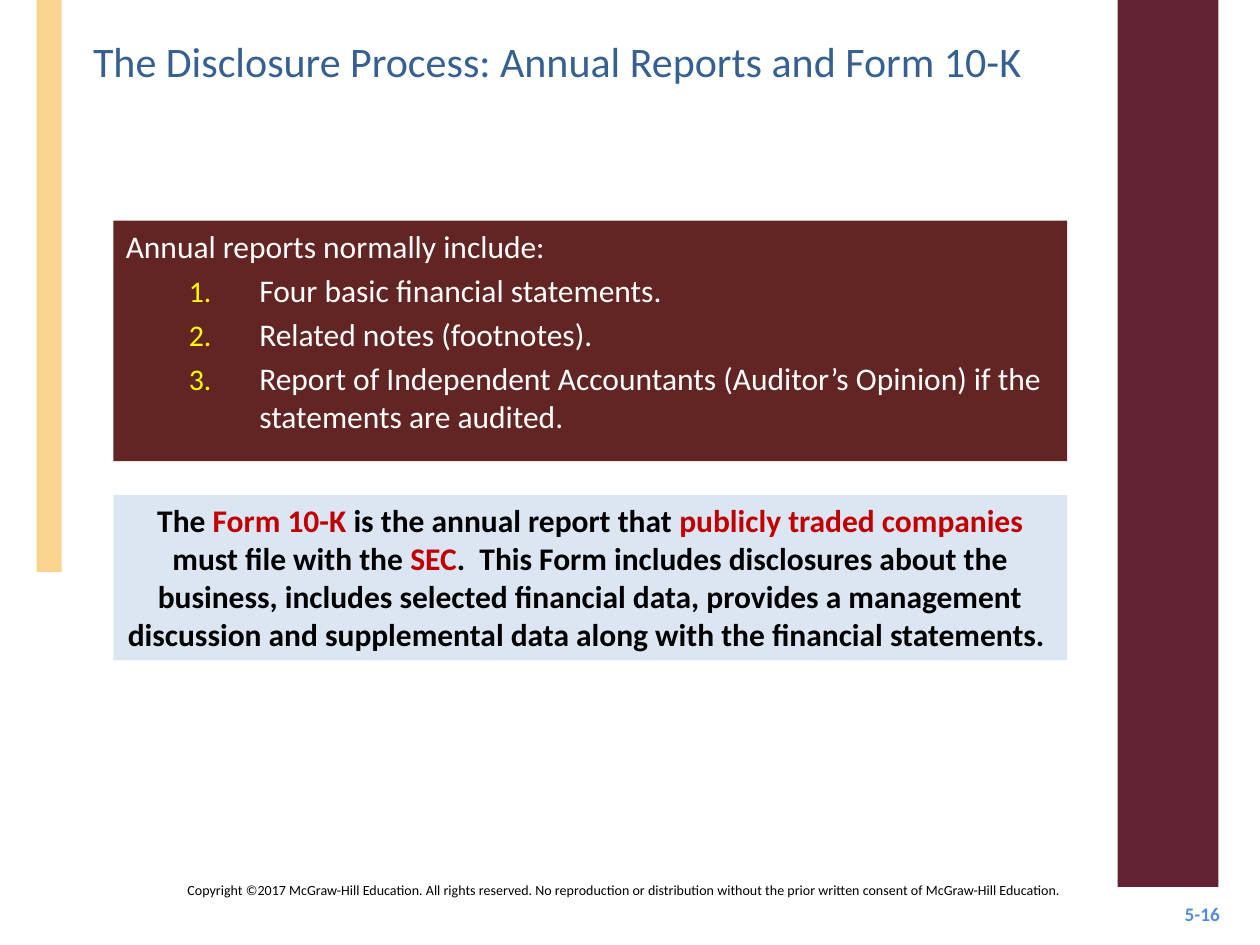
from lxml import etree
from pptx import Presentation
from pptx import util as u
from pptx.dml.color import RGBColor
from pptx.enum import shapes, text
from pptx.oxml.ns import qn

COLORS = {
    "sand": "FAD38F", "wine": "622233", "brick": "632523", "ice": "DCE6F2",
    "title": "376092", "number": "558ED5", "white": "FFFFFF",
    "black": "000000", "red": "C00000", "yellow": "FFFF00",
}

deck = Presentation()
deck.slide_width, deck.slide_height = u.Inches(10), u.Inches(7.5)
page = deck.slides.add_slide(deck.slide_layouts[6])
COLUMN = deck.slide_width / 100
ROW = deck.slide_height / 75


def add_box(column, row, columns, rows, fill=None):
    place = [round(n) for n in (column * COLUMN, row * ROW, columns * COLUMN, rows * ROW)]
    if fill:
        box = page.shapes.add_shape(shapes.MSO_SHAPE.RECTANGLE, *place)
        box.shadow.inherit = False
        box.fill.solid()
        box.fill.fore_color.rgb = RGBColor.from_string(COLORS[fill])
        box.line.fill.background()
    else:
        box = page.shapes.add_textbox(*place)
    box.text_frame.word_wrap = True
    box.text_frame.vertical_anchor = text.MSO_ANCHOR.TOP
    return box


def add_runs(para, runs, size, align=text.PP_ALIGN.LEFT, bold=False):
    para.alignment = align
    for words, color in runs:
        span = para.add_run()
        span.text = words
        span.font.name = "Calibri"
        span.font.size = u.Pt(size)
        span.font.bold = bold
        span.font.color.rgb = RGBColor.from_string(COLORS[color])


number = add_box(90.3, 70.5, 7.5, 4)
number.text_frame.vertical_anchor = text.MSO_ANCHOR.MIDDLE
add_runs(number.text_frame.paragraphs[0], [("5-16", "number")], 11,
         text.PP_ALIGN.RIGHT, True)

add_box(2.9, 0, 2, 45.4, "sand")
add_box(88.7, 0, 8, 70.4, "wine")

title = add_box(6.4, 2.3, 83.7, 7)
add_runs(title.text_frame.paragraphs[0],
         [("The Disclosure Process: Annual Reports and Form 10-K", "title")], 24)

reports = add_box(9, 17.5, 75.7, 19.1, "brick").text_frame
add_runs(reports.paragraphs[0], [("Annual reports normally include:", "white")], 18)
contents = [
    "Four basic financial statements.",
    "Related notes (footnotes).",
    "Report of Independent Accountants (Auditor’s Opinion) if the statements are audited.",
]
for item in contents:
    para = reports.add_paragraph()
    para.level = 1
    para.space_before = u.Pt(3.6)
    settings = para._p.get_or_add_pPr()
    settings.set("marL", str(u.Inches(1.06)))
    settings.set("indent", str(u.Inches(-0.56)))
    bullet_color = etree.SubElement(settings, qn("a:buClr"))
    etree.SubElement(bullet_color, qn("a:srgbClr"), val=COLORS["yellow"])
    etree.SubElement(settings, qn("a:buSzPct"), val="95000")
    etree.SubElement(settings, qn("a:buFont"), typeface="Calibri")
    etree.SubElement(settings, qn("a:buAutoNum"), type="arabicPeriod")
    add_runs(para, [(item, "white")], 18)

form = add_box(9, 39.3, 75.7, 13.1, "ice").text_frame
form.auto_size = text.MSO_AUTO_SIZE.SHAPE_TO_FIT_TEXT
add_runs(form.paragraphs[0], [
    ("The ", "black"),
    ("Form 10-K ", "red"),
    ("is the annual report that ", "black"),
    ("publicly traded companies", "red"),
    (" must file with the ", "black"),
    ("SEC", "red"),
    (".  This Form includes disclosures about the business, includes selected "
     "financial data, provides a management discussion and supplemental data "
     "along with the financial statements. ", "black"),
], 18, text.PP_ALIGN.CENTER, True)

copyright_line = add_box(12.7, 69.5, 74, 4)
add_runs(copyright_line.text_frame.paragraphs[0], [
    ("Copyright ©2017 McGraw-Hill Education. All rights reserved. No reproduction or "
     "distribution without the prior written consent of McGraw-Hill Education. ", "black"),
], 8, text.PP_ALIGN.CENTER)

deck.save("out.pptx")
